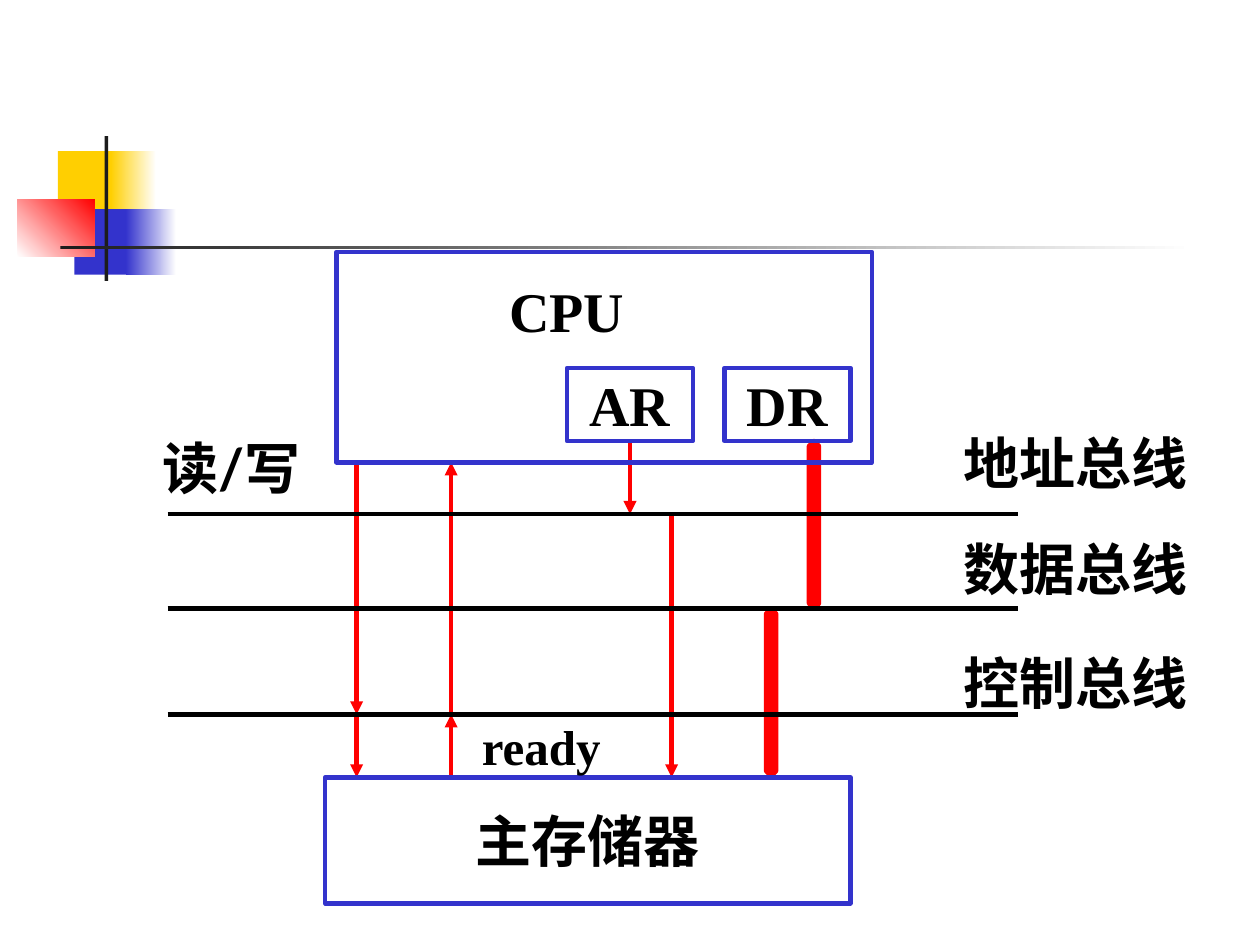
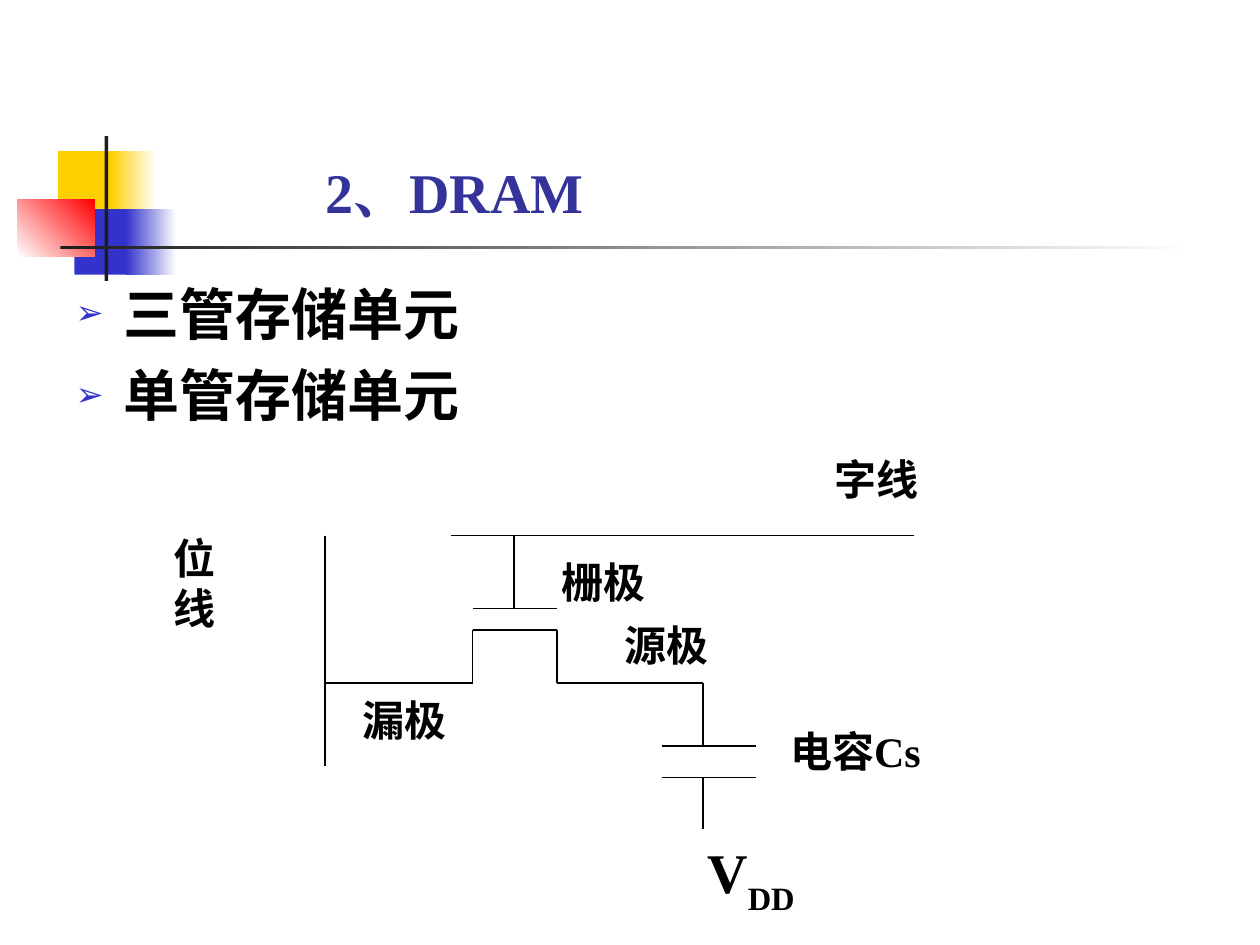
from lxml.etree import SubElement as Sub
from pptx import Presentation
from pptx.dml.color import RGBColor as RGB
from pptx.enum.shapes import MSO_CONNECTOR as Wire, MSO_SHAPE as Kind
from pptx.enum.text import MSO_ANCHOR as Anchor, MSO_AUTO_SIZE as Fit, PP_ALIGN as Align
from pptx.oxml.ns import qn
from pptx.util import Inches, Pt

BLUE, RED, GOLD = "3333CC", "FF0000", "FFCF01"
BLACK, DARK, WHITE, NAVY = "000000", "1C1C1C", "FFFFFF", "333399"
SANS, SERIF = "Lato", "Times New Roman"


def paint(fill, *hues, turn=0):
    if len(hues) == 1:
        fill.solid()
        fill.fore_color.rgb = RGB.from_string(hues[0])
        return
    fill.gradient()
    fill.gradient_angle = turn
    for stop, hue in zip(fill.gradient_stops, hues):
        stop.color.rgb = RGB.from_string(hue)


def write(frame, text, size=32, face=SANS, hue=BLACK, align=Align.CENTER,
          anchor=Anchor.MIDDLE, wrap=False, gap=0, drop=0):
    frame.word_wrap = wrap
    frame.auto_size = Fit.NONE
    frame.vertical_anchor = anchor
    for i, line in enumerate(text.split("\n")):
        para = frame.add_paragraph() if i else frame.paragraphs[-1]
        para.alignment = align
        para.space_before = Pt(gap if i else 0)
        run = para.add_run()
        run.text = line
        run.font.size = Pt(size)
        run.font.bold = True
        run.font.name = face
        paint(run.font.fill, hue)
        mark = run.font._element
        Sub(mark, qn("a:ea")).set("typeface", face)
        if drop:
            mark.set("baseline", str(-drop * 1000))


deck = Presentation()
deck.slide_width, deck.slide_height = Inches(10), Inches(7.5)
bus = deck.slides.add_slide(deck.slide_layouts[6])
cell = deck.slides.add_slide(deck.slide_layouts[1])

motif = [
    (0.46, 1.2, 0.48, 0.52, [GOLD], 0),
    (0.88, 1.2, 0.36, 0.52, [GOLD, WHITE], 0),
    (0.59, 1.66, 0.46, 0.52, [BLUE], 0),
    (1, 1.66, 0.4, 0.52, [BLUE, WHITE], 0),
    (0.14, 1.58, 0.61, 0.46, [WHITE, RED], 45),
    (0.83, 1.08, 0.03, 1.15, [DARK], 0),
    (0.48, 1.95, 9, 0.03, [DARK, WHITE], 0),
]
tree = deck.slide_master.shapes._spTree
for i, (*spot, hues, turn) in enumerate(motif):
    tile = bus.shapes.add_shape(Kind.RECTANGLE, *map(Inches, spot))
    tile.shadow.inherit = False
    tile.line.fill.background()
    paint(tile.fill, *hues, turn=turn)
    tile._element.nvSpPr.cNvPr.set("id", str(20 + i))
    tree.insert(2 + i, tile._element)

for left, top, head in [(6.08, 4.83, 3.2), (6.42, 3.5, 3.18)]:
    flow = bus.shapes.add_shape(Kind.UP_DOWN_ARROW, Inches(left), Inches(top),
                                Inches(0.08), Inches(1.33))
    flow.adjustments[0], flow.adjustments[1] = 0.5, head
    flow.shadow.inherit = False
    paint(flow.fill, RED)
    paint(flow.line.fill, RED)
    flow.line.width = Pt(2.5)

signals = [
    (5, 3.5, 5, 4.08),
    (3.58, 6.17, 3.58, 5.67),
    (3.58, 5.67, 3.58, 3.67),
    (2.83, 3.67, 2.83, 5.67),
    (2.83, 5.67, 2.83, 6.17),
    (5.33, 4.08, 5.33, 6.17),
]
rails = [(1.33, y, 8.08, y) for y in (4.08, 4.83, 5.67)]
circuit = [
    (3.75, 5.42, 2.58, 5.42),
    (2.58, 4.25, 2.58, 6.08),
    (3.58, 4.25, 7.25, 4.25),
    (4.08, 4.25, 4.08, 4.83),
    (3.75, 5, 4.42, 5),
    (3.75, 5, 3.75, 5.42),
    (4.42, 5, 4.42, 5.42),
    (4.42, 5.42, 5.58, 5.42),
    (5.58, 5.42, 5.58, 5.92),
    (5.25, 5.92, 6, 5.92),
    (5.25, 6.17, 6, 6.17),
    (5.58, 6.17, 5.58, 6.58),
    (3.75, 4.83, 4.42, 4.83),
]
for page, legs, hue, width, tip in [
    (bus, signals, RED, 2.5, True),
    (bus, rails, BLACK, 2.5, False),
    (cell, circuit, BLACK, 0.75, False),
]:
    for ends in legs:
        wire = page.shapes.add_connector(Wire.STRAIGHT, *map(Inches, ends))
        wire.line.width = Pt(width)
        paint(wire.line.fill, hue)
        look = wire._element.spPr
        if tip:
            Sub(look.find(qn("a:ln")), qn("a:tailEnd")).set("type", "triangle")
        Sub(look, qn("a:effectLst"))

for text, face, *spot in [
    ("", SERIF, 2.67, 2, 4.25, 1.67),
    ("AR", SERIF, 4.5, 2.92, 1, 0.58),
    ("DR", SERIF, 5.75, 2.92, 1, 0.58),
    ("主存储器", SANS, 2.58, 6.17, 4.17, 1),
]:
    block = bus.shapes.add_shape(Kind.RECTANGLE, *map(Inches, spot))
    block.shadow.inherit = False
    block.fill.background()
    paint(block.line.fill, BLUE)
    block.line.width = Pt(2.5)
    if text:
        write(block.text_frame, text, face=face)

frames = {}
for page, text, size, face, *spot in [
    (bus, "地址总线", 32, SANS, 7.58, 3.33, 1.92, 0.67),
    (bus, "数据总线", 32, SANS, 7.58, 4.17, 1.92, 0.67),
    (bus, "控制总线", 32, SANS, 7.58, 5.08, 1.92, 0.67),
    (bus, "读/写", 32, SANS, 1.25, 3.42, 1.17, 0.58),
    (bus, "CPU", 32, SERIF, 4, 2.17, 1, 0.58),
    (bus, "ready", 28, SERIF, 3.67, 5.67, 1.25, 0.5),
    (cell, "位\n线", 24, SANS, 1.17, 4, 0.75, 1.25),
    (cell, "字线", 24, SANS, 6.33, 3.17, 1.25, 1.25),
    (cell, "栅极", 24, SANS, 4.25, 4.33, 1.08, 0.58),
    (cell, "漏极", 24, SANS, 2.67, 5.42, 1.08, 0.58),
    (cell, "源极", 24, SANS, 4.75, 4.83, 1.08, 0.58),
    (cell, "电容", 24, SANS, 6.25, 5.67, 1.08, 0.58),
    (cell, "V", 32, SERIF, 5.42, 6.67, 1.08, 0.58),
]:
    label = page.shapes.add_textbox(*map(Inches, spot))
    frames[text] = label.text_frame
    write(label.text_frame, text, size=size, face=face)
write(frames["电容"], "Cs", size=24, face=SERIF)
write(frames["V"], "DD", face=SERIF, drop=30)

title, body = cell.shapes.title, cell.placeholders[1]
for holder, spot in [(title, (1.48, 0.58, 8.52, 1.25)), (body, (0.5, 2.17, 9.25, 4.5))]:
    holder.left, holder.top, holder.width, holder.height = map(Inches, spot)
write(title.text_frame, "2、DRAM", face=SERIF, hue=NAVY, align=Align.LEFT,
      anchor=Anchor.BOTTOM, wrap=True)
title.text_frame.paragraphs[0]._p.get_or_add_pPr().set("marL", str(Inches(1)))

write(body.text_frame, "三管存储单元\n单管存储单元", align=Align.LEFT,
      anchor=Anchor.TOP, wrap=True, gap=8)
for para in body.text_frame.paragraphs:
    props = para._p.get_or_add_pPr()
    props.set("marL", str(Inches(0.38)))
    props.set("indent", str(-Inches(0.38)))
    Sub(Sub(props, qn("a:buClr")), qn("a:srgbClr")).set("val", BLUE)
    Sub(props, qn("a:buSzPct")).set("val", "60000")
    Sub(props, qn("a:buChar")).set("char", "➢")

deck.save("out.pptx")
